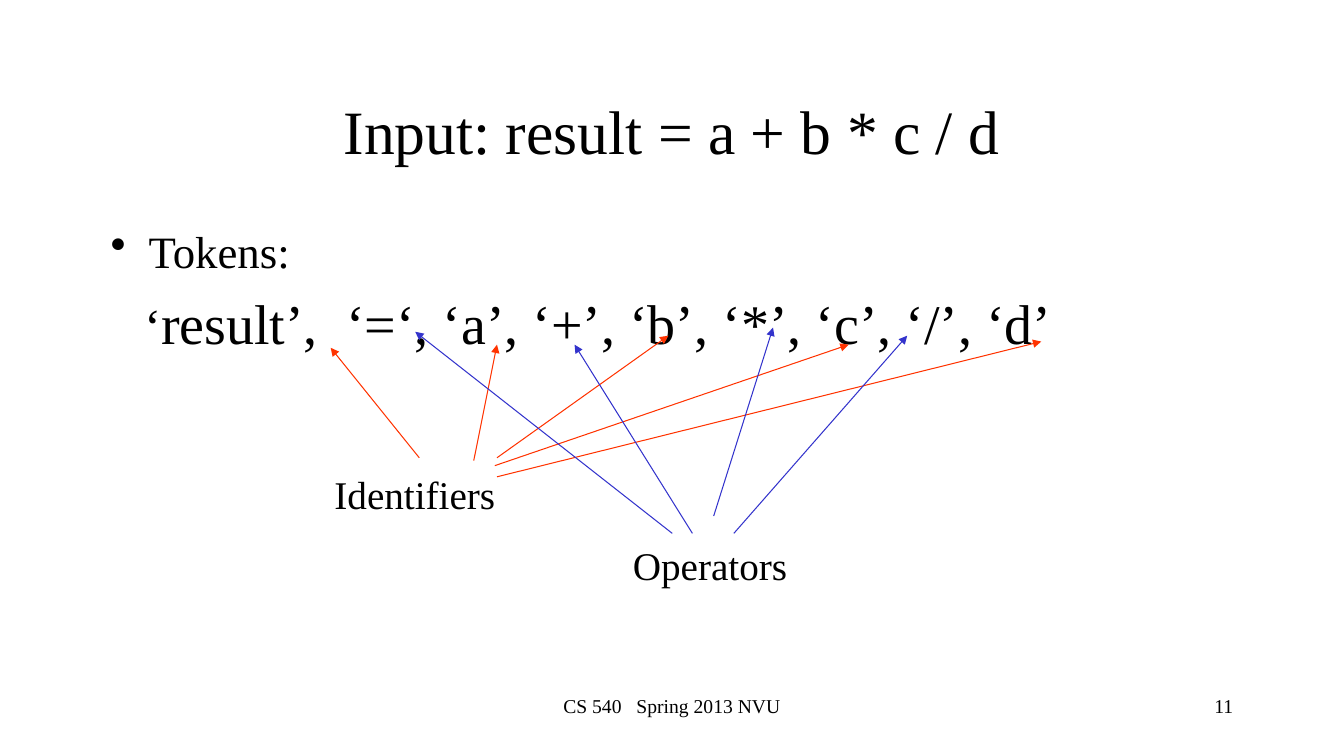
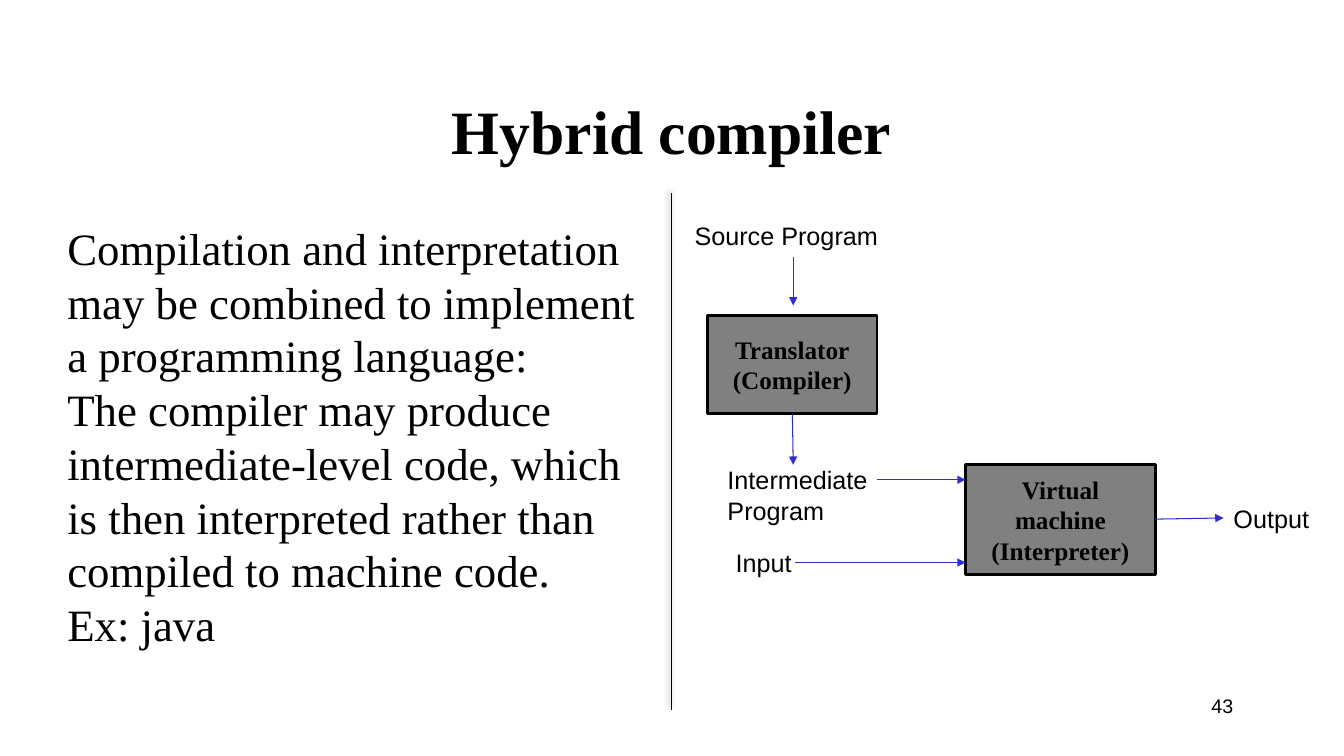
"""Build two compiler lecture slides: token classes and the hybrid compiler."""
from dataclasses import dataclass

from lxml import etree
from pptx import Presentation
from pptx.dml.color import RGBColor
from pptx.enum.shapes import MSO_CONNECTOR as Connector, MSO_SHAPE as Shape
from pptx.enum.text import MSO_ANCHOR as Anchor, MSO_AUTO_SIZE as AutoSize, PP_ALIGN as Align
from pptx.oxml.ns import qn
from pptx.util import Pt


@dataclass(frozen=True)
class Theme:
    """Colours, fonts, type sizes and line widths."""
    ink: str = "000000"
    paper: str = "FFFFFF"
    box: str = "808080"
    identifier: str = "FF3300"
    operator: str = "3333CC"
    flow: str = "2E2ECB"
    serif: str = "Times New Roman"
    sans: str = "Arial"
    title: int = 44
    token: int = 40
    quote: int = 36
    body: int = 32
    group: int = 28
    label: int = 18
    footer: int = 14
    hairline: float = 0.75
    border: float = 2


THEME = Theme()
SLIDE_SIZE = (960, 540)
TITLE_AREA = (72, 48, 816, 90)
FOOTER_AREA = (328, 492, 304, 36)
NUMBER_AREA = (688, 492, 200, 36)

TOKENS_TITLE = "Input: result = a + b * c / d"
TOKENS_AREA = (72, 156, 816, 324)
TOKENS_HEADING = "Tokens:"
TOKENS = [
    ("‘", THEME.quote, 0),
    ("result’,", THEME.token, 0),
    (" ", THEME.token, 10),
    ("‘=‘, ‘a’, ‘+’, ‘b’, ‘*’, ‘c’, ‘/’, ‘d’", THEME.token, 0),
]
COURSE = [
    ("CS 540", THEME.footer, 0),
    (" ", THEME.footer, 7),
    ("Spring 2013 NVU", THEME.footer, 0),
]
TOKEN_GROUPS = [
    ("Identifiers", (231.8, 332.6, 131, 41), THEME.identifier, [
        ((299.5, 327), (236.2, 248.4)),
        ((338.4, 329), (355, 246.2)),
        ((355, 327), (477.4, 239.8)),
        ((353.5, 332.6), (606.2, 246.2)),
        ((355, 340.6), (743.8, 244)),
    ]),
    ("Operators", (445, 383, 127, 41), THEME.operator, [
        ((480.2, 381), (296.6, 237)),
        ((494.6, 381), (410.4, 246.2)),
        ((509.8, 368.6), (552.2, 234)),
        ((524.2, 381), (648, 239.8)),
    ]),
]

HYBRID_TITLE = "Hybrid compiler"
HYBRID_AREA = (5, 154, 459, 318)
HYBRID_TEXT = [
    "Compilation and interpretation may be combined to implement a programming language:",
    "The compiler may produce intermediate-level code, which is then interpreted "
    "rather than compiled to machine code.",
    "Ex: java",
]
DIVIDER = ((480, 138), (480, 507))
STAGES = [
    (["Translator", "(Compiler)"], (505.4, 225.4, 121, 70)),
    (["Virtual machine", "(Interpreter)"], (689.8, 332, 135.4, 78.5)),
]
FLOW_LABELS = [
    ("Source Program", (489, 154, 156, 29)),
    ("Intermediate Program", (512.6, 328.3, 122, 51)),
    ("Input", (518.4, 387.4, 60, 29)),
    ("Output", (874, 355.7, 77, 29)),
]
FLOW_ARROWS = [
    ((566.6, 183.6), (566.6, 218.2)),
    ((566, 296), (566.6, 332)),
    ((626.4, 342.7), (689.8, 342.7)),
    ((568, 401.8), (689.8, 401.8)),
    ((825.2, 370.8), (874, 370)),
]


def points(values):
    """Turn plain numbers into lengths."""
    return [Pt(value) for value in values]


def colour(hex_code):
    """Turn a hex code into a colour."""
    return RGBColor.from_string(hex_code)


def style_run(run, size, font, bold=False):
    """Set the type of one run."""
    run.font.size = Pt(size)
    run.font.name = font
    run.font.bold = bold
    run.font.color.rgb = colour(THEME.ink)


def fill_text(frame, lines, size, font, align=Align.LEFT, bold=False):
    """Write one paragraph per line in a single style."""
    frame.word_wrap = True
    frame.text = "\n".join(lines)
    for paragraph in frame.paragraphs:
        paragraph.alignment = align
        for run in paragraph.runs:
            style_run(run, size, font, bold)


def fill_runs(paragraph, parts):
    """Write runs of varied size and letter spacing."""
    for text, size, spacing in parts:
        run = paragraph.add_run()
        run.text = text
        style_run(run, size, THEME.serif)
        if spacing:
            run.font._element.set("spc", str(spacing * 100))


def add_text(slide, area, lines, size, font, align=Align.LEFT):
    """Add a text box and return its frame."""
    frame = slide.shapes.add_textbox(*points(area)).text_frame
    fill_text(frame, lines, size, font, align)
    return frame


def set_indent(paragraph, left, first=0, bullet=None):
    """Indent a paragraph and give it a bullet if asked."""
    properties = paragraph._p.get_or_add_pPr()
    properties.set("marL", str(Pt(left)))
    properties.set("indent", str(Pt(first)))
    if bullet:
        etree.SubElement(properties, qn("a:buChar")).set("char", bullet)


def add_line(slide, ends, hex_code, arrow=True):
    """Add a thin line and return its effect list."""
    start, end = ends
    line = slide.shapes.add_connector(Connector.STRAIGHT, *points(start + end))
    line.line.color.rgb = colour(hex_code)
    line.line.width = Pt(THEME.hairline)
    if arrow:
        etree.SubElement(line.line._get_or_add_ln(), qn("a:tailEnd")).set("type", "triangle")
    return etree.SubElement(line._element.spPr, qn("a:effectLst"))


def add_soft_shadow(effects):
    """Put a faint outer shadow in an effect list."""
    shadow = etree.SubElement(effects, qn("a:outerShdw"), blurRad=str(Pt(4)),
                              dist=str(Pt(3)), dir=str(225 * 60000), rotWithShape="0")
    tint = etree.SubElement(shadow, qn("a:srgbClr"), val=THEME.ink)
    etree.SubElement(tint, qn("a:alpha"), val="40000")


def add_stage(slide, lines, area):
    """Add a grey box for a processing stage."""
    stage = slide.shapes.add_shape(Shape.RECTANGLE, *points(area))
    stage.shadow.inherit = False
    stage.fill.solid()
    stage.fill.fore_color.rgb = colour(THEME.box)
    stage.line.color.rgb = colour(THEME.ink)
    stage.line.width = Pt(THEME.border)
    stage.text_frame.vertical_anchor = Anchor.MIDDLE
    fill_text(stage.text_frame, lines, THEME.label, THEME.serif, Align.CENTER, True)


def start_slide(deck, heading, number, number_font, bold=False):
    """Add a slide with its title and number."""
    slide = deck.slides.add_slide(deck.slide_layouts[5])
    slide.background.fill.solid()
    slide.background.fill.fore_color.rgb = colour(THEME.paper)
    title = slide.shapes.title
    title.left, title.top, title.width, title.height = points(TITLE_AREA)
    title.text_frame.auto_size = AutoSize.NONE
    title.text_frame.vertical_anchor = Anchor.MIDDLE
    fill_text(title.text_frame, [heading], THEME.title, THEME.serif, Align.CENTER, bold)
    add_text(slide, NUMBER_AREA, [number], THEME.footer, number_font, Align.RIGHT)
    return slide


def build_tokens(deck):
    """Build the slide that sorts tokens into classes."""
    slide = start_slide(deck, TOKENS_TITLE, "11", THEME.serif)
    body = add_text(slide, TOKENS_AREA, [TOKENS_HEADING], THEME.body, THEME.serif)
    set_indent(body.paragraphs[0], 27, -27, "•")
    tokens = body.add_paragraph()
    tokens.space_before = Pt(THEME.token * 0.2)
    set_indent(tokens, 24)
    fill_runs(tokens, TOKENS)
    course = add_text(slide, FOOTER_AREA, [""], THEME.footer, THEME.serif, Align.CENTER)
    fill_runs(course.paragraphs[0], COURSE)
    for group, area, hex_code, arrows in TOKEN_GROUPS:
        for ends in arrows:
            add_line(slide, ends, hex_code)
        add_text(slide, area, [group], THEME.group, THEME.serif)


def build_hybrid(deck):
    """Build the slide on the hybrid compiler."""
    slide = start_slide(deck, HYBRID_TITLE, "43", THEME.sans, bold=True)
    for lines, area in STAGES:
        add_stage(slide, lines, area)
    for label, area in FLOW_LABELS:
        add_text(slide, area, [label], THEME.label, THEME.sans)
    for ends in FLOW_ARROWS:
        add_line(slide, ends, THEME.flow)
    explanation = add_text(slide, HYBRID_AREA, HYBRID_TEXT, THEME.body, THEME.serif)
    for paragraph in explanation.paragraphs:
        set_indent(paragraph, 36)
    add_soft_shadow(add_line(slide, DIVIDER, THEME.ink, arrow=False))


def main():
    """Build and save the deck."""
    deck = Presentation()
    deck.slide_width, deck.slide_height = points(SLIDE_SIZE)
    build_tokens(deck)
    build_hybrid(deck)
    deck.save("out.pptx")


if __name__ == "__main__":
    main()
